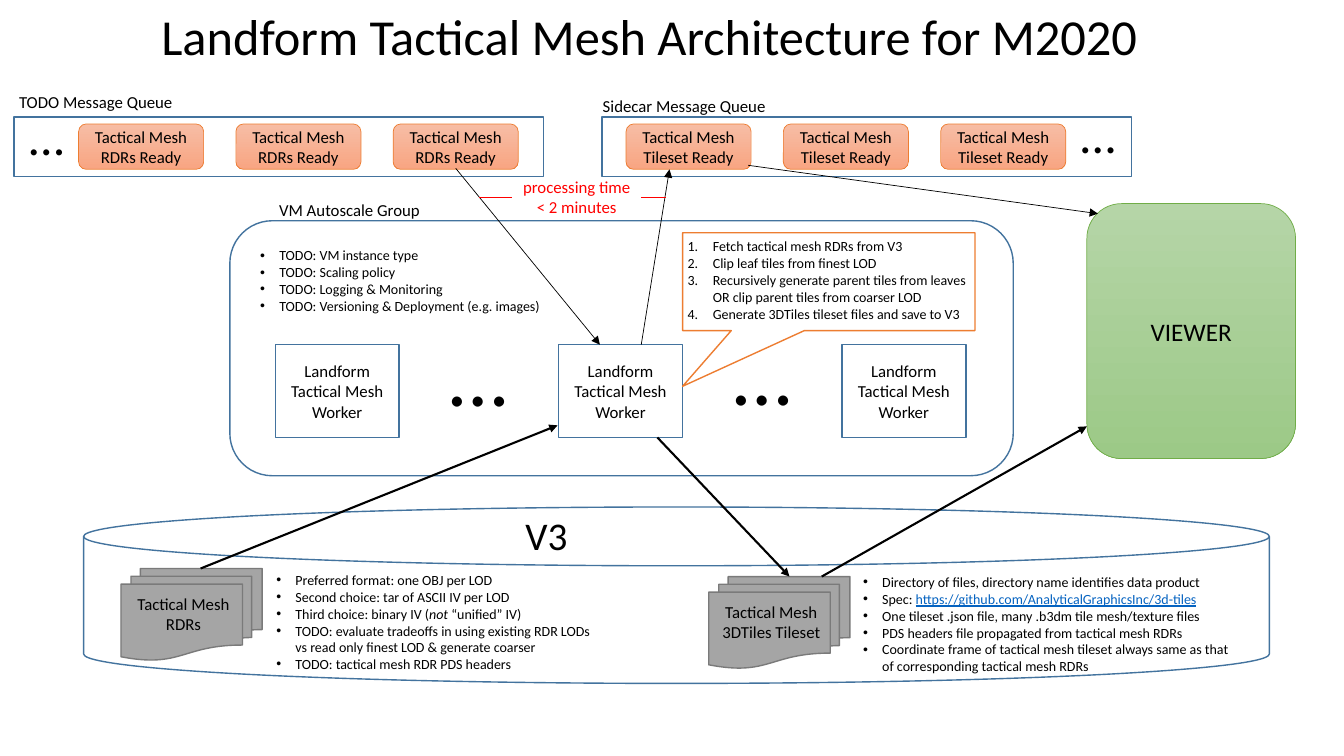
import pptx
import pptx.util
import pptx.dml.color
import pptx.enum.shapes
import pptx.enum.text
import pptx.oxml.ns
from dataclasses import dataclass
from lxml import etree

SHAPE = pptx.enum.shapes.MSO_SHAPE
ALIGN = pptx.enum.text.PP_ALIGN
ANCHOR = pptx.enum.text.MSO_ANCHOR


@dataclass(frozen=True)
class Theme:
    font: str = "Calibri"
    title: int = 36
    store: int = 28
    system: int = 18
    label: int = 12
    note: int = 10
    black: str = "000000"
    blue: str = "43739E"
    orange: str = "ED7D31"
    green: str = "70AD47"
    red: str = "FF0000"
    link: str = "0563C1"
    gray: str = "A5A5A5"
    gray_line: str = "7A7A7A"
    card_fill: tuple = ("F7BDA5", "F8A582")
    system_fill: tuple = ("B5D5A7", "9CC987")


T = Theme()

# ---- Content: boxes are (left, top, width, height), 100 px to the inch ----
TITLE = "Landform Tactical Mesh Architecture for M2020"
TITLE_BOX = (150, 0, 998, 71)
URL = "https://github.com/AnalyticalGraphicsInc/3d-tiles"

# Each item is a string or a list of (text, style) runs
LISTS = [
    ((248, 240, 305, 77), "bullet", [
        "TODO: VM instance type", "TODO: Scaling policy", "TODO: Logging & Monitoring",
        "TODO: Versioning & Deployment (e.g. images)"]),
    ((672, 231, 305, 111), "number", [
        "Fetch tactical mesh RDRs from V3", "Clip leaf tiles from finest LOD",
        "Recursively generate parent tiles from leaves OR clip parent tiles from coarser LOD",
        "Generate 3DTiles tileset files and save to V3"]),
    ((264, 562, 337, 111), "bullet", [
        "Preferred format: one OBJ per LOD", "Second choice: tar of ASCII IV per LOD",
        [("Third choice: binary IV (", ""), ("not", "italic"), (" “unified” IV)", "")],
        "TODO: evaluate tradeoffs in using existing RDR LODs vs read only finest LOD & generate coarser",
        "TODO: tactical mesh RDR PDS headers"]),
    ((846, 564, 393, 111), "bullet", [
        "Directory of files, directory name identifies data product",
        [("Spec: ", ""), (URL, "link")],
        "One tileset .json file, many .b3dm tile mesh/texture files",
        "PDS headers file propagated from tactical mesh RDRs",
        "Coordinate frame of tactical mesh tileset always same as that of corresponding tactical mesh RDRs"]),
]

QUEUES = [  # frame left, first card left, card text
    (14, 78, ["Tactical Mesh", "RDRs Ready"]),
    (597, 621, ["Tactical Mesh", "Tileset Ready"]),
]
CARD_PITCH = 156
WORKER = ["Landform", "Tactical Mesh", "Worker"]
WORKER_LEFT, WORKER_PITCH = 273, 281
DOCUMENTS = [  # left, top, text
    (120, 564, ["Tactical Mesh", "RDRs"]),
    (703, 572, ["Tactical Mesh", "3DTiles Tileset"]),
]
LABELS = [  # box, lines, size, colour, alignment
    ((492, 502, 100, 57), ["V3"], T.store, T.black, ALIGN.CENTER),
    ((267, 193, 163, 30), ["VM Autoscale Group"], T.label, T.black, ALIGN.LEFT),
    ((9, 86, 175, 30), ["TODO Message Queue"], T.label, T.black, ALIGN.LEFT),
    ((588, 90, 184, 30), ["Sidecar Message Queue"], T.label, T.black, ALIGN.LEFT),
    ((508, 170, 128, 50), ["processing time", "< 2 minutes"], T.label, T.red, ALIGN.CENTER),
    ((19, 99, 55, 71), ["…"], 36, T.black, ALIGN.LEFT),
    ((1062, 97, 55, 71), ["…"], 36, T.black, ALIGN.LEFT),
    ((436, 315, 78, 105), ["…"], 60, T.black, ALIGN.LEFT),
    ((718, 314, 78, 105), ["…"], 60, T.black, ALIGN.LEFT),
]
LINES = [  # (x1, y1, x2, y2), width, colour, arrowhead
    ((452, 167, 595, 342), 0.5, T.black, True),
    ((636, 342, 664, 168), 0.5, T.black, True),
    ((742, 164, 1089, 212), 0.5, T.black, True),
    ((199, 564, 553, 422), 1.5, T.black, True),
    ((652, 434, 783, 572), 1.5, T.black, True),
    ((815, 572, 1078, 423), 1.5, T.black, True),
    ((475, 196, 508, 196), 1, T.red, False),
    ((636, 196, 661, 196), 1, T.red, False),
]

prs = pptx.Presentation()
SCALE = 9144


def emu(box):
    return [v * SCALE for v in box]


def rgb(color):
    return pptx.dml.color.RGBColor.from_string(color)


def add_run(p, text, size, color=T.black):
    r = p.add_run()
    r.text = text
    r.font.name, r.font.size, r.font.bold = T.font, pptx.util.Pt(size), False
    r.font.color.rgb = rgb(color)
    return r


def write(tf, lines, size, color=T.black, align=ALIGN.CENTER):
    for i, line in enumerate(lines):
        p = tf.paragraphs[0] if i == 0 else tf.add_paragraph()
        p.alignment = align
        add_run(p, line, size, color)


def add_box(kind, box, line, width=1, fill=None, lines=(), size=T.label):
    sp = s.shapes.add_shape(kind, *emu(box))
    sp.shadow.inherit = False
    sp.line.color.rgb, sp.line.width = rgb(line), pptx.util.Pt(width)
    if fill is None:
        sp.fill.background()
    elif isinstance(fill, str):
        sp.fill.solid()
        sp.fill.fore_color.rgb = rgb(fill)
    else:
        sp.fill.gradient()
        sp.fill.gradient_angle = 270
        for stop, color in zip(sp.fill.gradient_stops, fill):
            stop.color.rgb = rgb(color)
    sp.text_frame.vertical_anchor = ANCHOR.MIDDLE
    write(sp.text_frame, lines, size)
    return sp


def add_label(box, lines, size=T.label, color=T.black, align=ALIGN.CENTER):
    tf = s.shapes.add_textbox(*emu(box)).text_frame
    tf.word_wrap = False
    write(tf, lines, size, color, align)


def add_xml(parent, tag, **attrs):
    etree.SubElement(parent, pptx.oxml.ns.qn(tag), **attrs)


def place(sp, box):
    sp.left, sp.top, sp.width, sp.height = emu(box)
    sp.text_frame.auto_size = pptx.enum.text.MSO_AUTO_SIZE.NONE


def fill_list(sp, box, kind, items):
    place(sp, box)
    tf = sp.text_frame
    tf.vertical_anchor, tf.word_wrap = ANCHOR.TOP, True
    indent = (25 if kind == "number" else 19) * SCALE
    for i, item in enumerate(items):
        p = tf.paragraphs[0] if i == 0 else tf.add_paragraph()
        p.space_before = pptx.util.Pt(0)
        pPr = p._p.get_or_add_pPr()
        pPr.set("marL", str(indent))
        pPr.set("indent", str(-indent))
        if kind == "number":
            add_xml(pPr, "a:buFont", typeface="+mj-lt")
            add_xml(pPr, "a:buAutoNum", type="arabicPeriod")
        else:
            add_xml(pPr, "a:buFont", typeface="Arial")
            add_xml(pPr, "a:buChar", char="•")
        for text, style in [(item, "")] if isinstance(item, str) else item:
            r = add_run(p, text, T.note, T.link if style == "link" else T.black)
            r.font.italic = style == "italic"
            r.font.underline = style == "link"


# ---- Slide, title and lists ----
prs.slide_width, prs.slide_height = emu((1333, 750))
s = prs.slides.add_slide(prs.slide_layouts.get_by_name("Comparison"))
title, *bodies = [sp for sp in s.placeholders if sp.placeholder_format.idx < 5]
place(title, TITLE_BOX)
title.text_frame.word_wrap = False
write(title.text_frame, [TITLE], T.title, align=ALIGN.LEFT)
for body, (box, kind, items) in zip(bodies, LISTS):
    fill_list(body, box, kind, items)

# ---- Storage and its documents ----
add_box(SHAPE.FLOWCHART_MAGNETIC_DISK, (83, 503, 1176, 175), T.blue)
for left, top, lines in DOCUMENTS:
    add_box(SHAPE.FLOWCHART_MULTIDOCUMENT, (left, top, 140, 91), T.gray_line, fill=T.gray)
    add_label((left + 3, top + 20, 118, 50), lines)

# ---- Autoscale group, workers and callout ----
add_box(SHAPE.ROUNDED_RECTANGLE, (228, 219, 777, 253), T.blue)
for i in range(3):
    add_box(SHAPE.RECTANGLE, (WORKER_LEFT + i * WORKER_PITCH, 342, 123, 92), T.blue, lines=WORKER)
callout = add_box(SHAPE.RECTANGULAR_CALLOUT, (677, 231, 290, 97), T.orange)
callout.adjustments[0], callout.adjustments[1] = -0.5, 1.07

# ---- Message queues and client system ----
for frame_left, card_left, lines in QUEUES:
    add_box(SHAPE.RECTANGLE, (frame_left, 116, 525, 59), T.blue)
    for i in range(3):
        add_box(SHAPE.ROUNDED_RECTANGLE, (card_left + i * CARD_PITCH, 123, 124, 45),
                T.orange, 0.5, T.card_fill, lines)
add_box(SHAPE.ROUNDED_RECTANGLE, (1078, 202, 207, 253), T.green, 0.5, T.system_fill,
        ["VIEWER"], T.system)

# ---- Labels and lines ----
for label in LABELS:
    add_label(*label)
for ends, width, color, arrow in LINES:
    cx = s.shapes.add_connector(pptx.enum.shapes.MSO_CONNECTOR.STRAIGHT, *emu(ends))
    cx.line.color.rgb, cx.line.width = rgb(color), pptx.util.Pt(width)
    if arrow:
        add_xml(cx.line._get_or_add_ln(), "a:tailEnd", type="triangle")
    add_xml(cx._element.spPr, "a:effectLst")

# ---- Unused placeholders ----
for sp in list(s.placeholders):
    if not sp.text_frame.text:
        sp._element.getparent().remove(sp._element)

prs.save("out.pptx")
